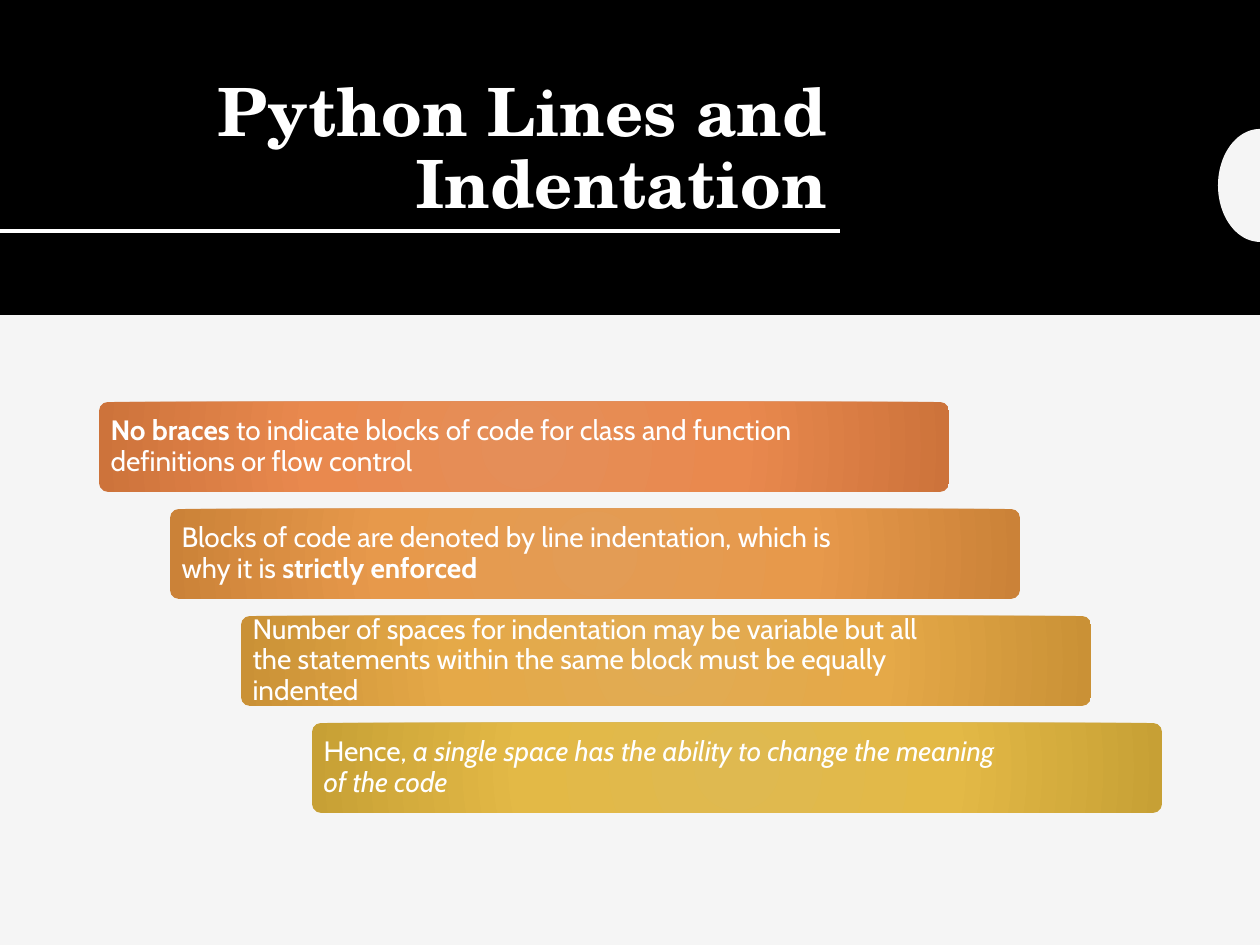
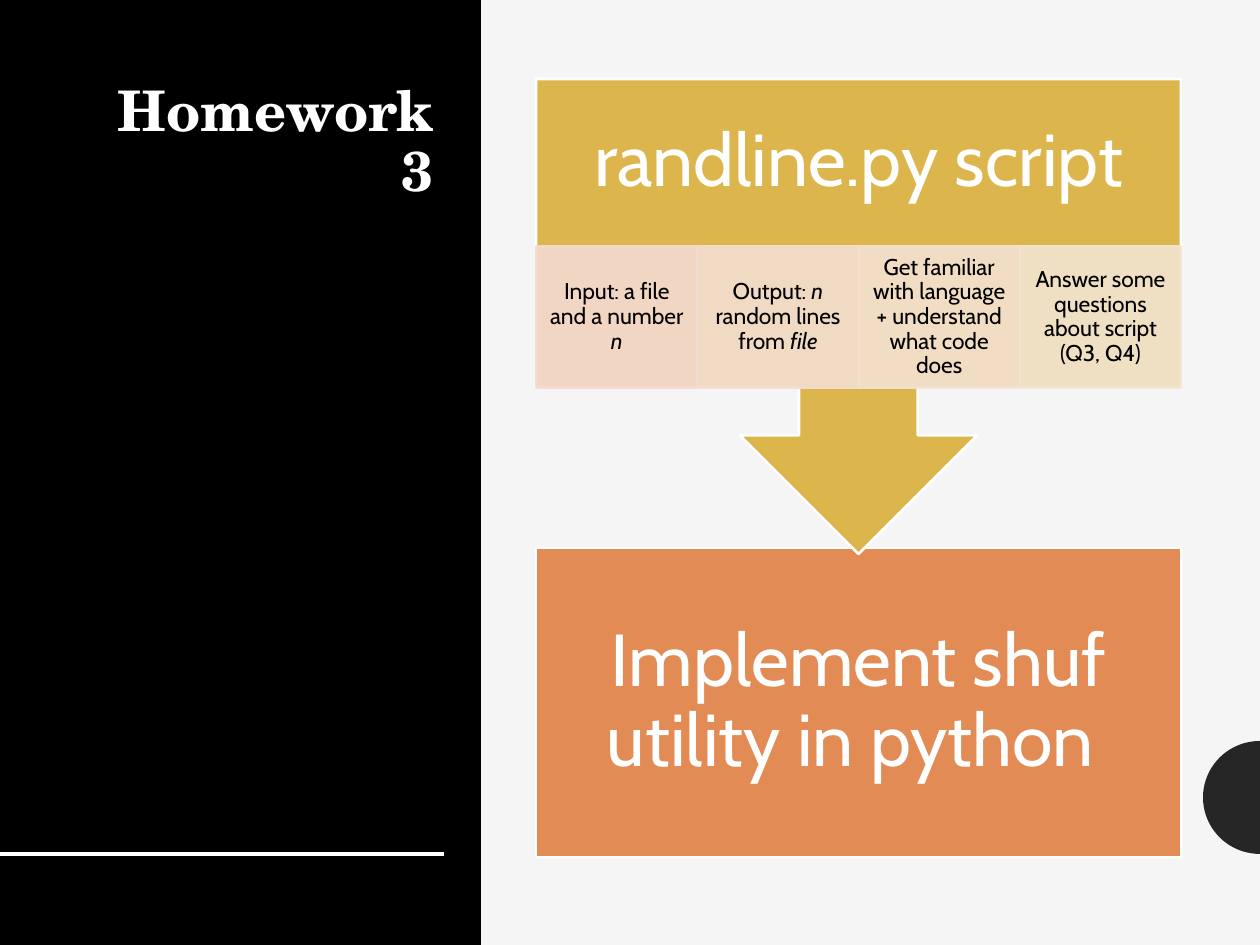
from math import cos, pi, sin

from lxml import etree
from pptx import Presentation
from pptx.dml.color import RGBColor
from pptx.enum.shapes import MSO_CONNECTOR, MSO_SHAPE
from pptx.enum.text import MSO_ANCHOR, MSO_AUTO_SIZE, PP_ALIGN
from pptx.oxml import parse_xml
from pptx.oxml.ns import nsdecls, qn
from pptx.util import Emu, Pt

RECT, ROUND = MSO_SHAPE.RECTANGLE, MSO_SHAPE.ROUNDED_RECTANGLE
CALLOUT = MSO_SHAPE.DOWN_ARROW_CALLOUT
STRAIGHT = MSO_CONNECTOR.STRAIGHT
TOP, MIDDLE, BOTTOM = MSO_ANCHOR.TOP, MSO_ANCHOR.MIDDLE, MSO_ANCHOR.BOTTOM
LEFT, CENTER, RIGHT = PP_ALIGN.LEFT, PP_ALIGN.CENTER, PP_ALIGN.RIGHT
NO_FIT = MSO_AUTO_SIZE.NONE

WIDTH, HEIGHT = 1260, 945
HEAD, BODY = "TeX Gyre Schola", "Cabin"
PAPER, BLACK, WHITE, DARK = "F5F5F5", "000000", "FFFFFF", "262626"
GOLD, ORANGE = "DCB64D", "E28B55"

# Gradient stops and text runs of each bar; a run is (text, style)
BARS = [
    (("E58E58", "E9894E", "CD733B"),
     [("No braces ", "b"),
      ("to indicate blocks of code for class and function "
       "definitions or flow control", "")]),
    (("E39C55", "E7994B", "CB8238"),
     [("Blocks of code are denoted by line indentation, "
       "which is why it is ", ""),
      ("strictly enforced", "b")]),
    (("E1AB53", "E5A948", "CA9136"),
     [("Number of spaces for indentation may be variable but all the "
       "statements within the same block must be equally indented", "")]),
    (("DFB950", "E3B946", "C7A035"),
     [("Hence, ", ""),
      ("a single space has the ability to change the meaning "
       "of the code", "i")]),
]

# Fill and text runs of each step
STEPS = [
    ("F4DAD1", [("Input: a file and a number ", ""), ("n", "i")]),
    ("F3DED1", [("Output: ", ""), ("n ", "i"),
                ("random lines from ", ""), ("file", "i")]),
    ("F3E2D0", [("Get familiar with language + understand "
                 "what code does", "")]),
    ("F2E5D0", [("Answer some questions about script (Q3, Q4)", "")]),
]


def px(n):
    return Emu(round(n * 914400 / 126))


def rgb(code):
    return RGBColor.from_string(code)


def write(shape, runs, size, color, align, anchor, pads, font=BODY):
    """Fill a shape with one paragraph; pads are left, top, right, bottom."""
    frame = shape.text_frame
    frame.word_wrap = True
    frame.auto_size = NO_FIT
    frame.vertical_anchor = anchor
    (frame.margin_left, frame.margin_top,
     frame.margin_right, frame.margin_bottom) = map(px, pads)
    para = frame.paragraphs[0]
    para.alignment = align
    para.line_spacing = 0.9
    para.font.name = font
    para.font.size = Pt(size)
    para.font.color.rgb = rgb(color)
    for text, style in runs:
        run = para.add_run()
        run.text = text
        if "b" in style:
            run.font.bold = True
        if "i" in style:
            run.font.italic = True


def block(slide, kind, box, fill, edge=None, weight=1.5):
    shape = slide.shapes.add_shape(kind, *map(px, box))
    shape.shadow.inherit = False
    shape.fill.solid()
    shape.fill.fore_color.rgb = rgb(fill)
    if edge:
        shape.line.color.rgb = rgb(edge)
        shape.line.width = Pt(weight)
    else:
        shape.line.fill.background()
    return shape


def glow(shape, colors):
    """Swap the solid fill for a circular gradient."""
    stops = "".join(
        f'<a:gs pos="{i * 50000}"><a:srgbClr val="{color}"/></a:gs>'
        for i, color in enumerate(colors))
    grad = parse_xml(
        f'<a:gradFill {nsdecls("a")}><a:gsLst>{stops}</a:gsLst>'
        '<a:path path="circle"><a:fillToRect l="100000" t="100000" '
        'r="100000" b="100000"/></a:path></a:gradFill>')
    props = shape._element.spPr
    props.replace(props.find(qn("a:solidFill")), grad)


def fade(shape, share):
    """Set the opacity of fill and line, in percent."""
    for color in shape._element.spPr.iter(qn("a:srgbClr")):
        etree.SubElement(color, qn("a:alpha")).set("val", str(share * 1000))


def rule(slide, end, y):
    line = slide.shapes.add_connector(STRAIGHT, *map(px, (0, y, end, y)))
    line.line.color.rgb = rgb(WHITE)
    line.line.width = Pt(2)
    etree.SubElement(line._element.spPr, qn("a:effectLst"))


def notch(slide, box, fill):
    """Half ellipse that bulges left from the right side of its box."""
    x, y, w, h = box
    turns = [pi * i / 40 for i in range(41)]
    dots = [(px(x + w - w * sin(t)), px(y + h / 2 - h / 2 * cos(t)))
            for t in turns]
    pen = slide.shapes.build_freeform(*dots[0])
    pen.add_line_segments(dots[1:], close=True)
    shape = pen.convert_to_shape()
    shape.shadow.inherit = False
    shape.fill.solid()
    shape.fill.fore_color.rgb = rgb(fill)
    shape.line.fill.background()


def frame(deck, panel, title, box, size, anchor, line, bump, tint):
    """Start a slide with its black panel, title, rule and notch."""
    slide = deck.slides.add_slide(deck.slide_layouts[5])
    slide.background.fill.solid()
    slide.background.fill.fore_color.rgb = rgb(PAPER)
    back = block(slide, RECT, panel, BLACK)
    head = slide.shapes.title
    back._element.addnext(head._element)
    head.left, head.top, head.width, head.height = map(px, box)
    write(head, [(title, "b")], size, WHITE, RIGHT, anchor,
          (13, 6, 13, 6), HEAD)
    rule(slide, *line)
    notch(slide, bump, tint)
    return slide


def stairs(slide, box):
    """Four bars, each one step lower and further right."""
    x, y, w, h = box
    wide, tall = 850, 90
    across = (w - wide) / (len(BARS) - 1)
    down = (h - tall) / (len(BARS) - 1)
    for i, (colors, runs) in enumerate(BARS):
        place = (x + i * across, y + i * down, wide, tall)
        bar = block(slide, ROUND, place, colors[0])
        bar.adjustments[0] = 0.1
        glow(bar, colors)
        write(bar, runs, 16, WHITE, LEFT, MIDDLE, (9, 9, 144, 9))


def flow(slide, box):
    """Callout with a row of steps, pointing down to the goal."""
    x, y, w, h = box
    pad, tall, low = 42, 142, 309
    goal = block(slide, RECT, (x, y + h - low, w, low), ORANGE, WHITE)
    write(goal, [("Implement shuf utility in python ", "")], 42, WHITE,
          CENTER, MIDDLE, (pad,) * 4)
    call = block(slide, CALLOUT, (x, y, w, 475), GOLD, WHITE)
    write(call, [("randline.py script", "")], 42, WHITE,
          CENTER, MIDDLE, (pad, pad, pad, pad + tall))
    wide = w / len(STEPS)
    for i, (color, runs) in enumerate(STEPS):
        place = (x + i * wide, y + 167, wide, tall)
        cell = block(slide, RECT, place, color, color, 1)
        fade(cell, 90)
        write(cell, runs, 13, BLACK, CENTER, MIDDLE, (12, 2, 12, 2))


def main():
    deck = Presentation()
    deck.slide_width, deck.slide_height = px(WIDTH), px(HEIGHT)

    # Indentation rules
    slide = frame(deck, (0, 0, WIDTH, 315), "Python Lines and Indentation",
                  (99, 59, 741, 170), 38, BOTTOM, (840, 231),
                  (1218, 129, 42, 113), PAPER)
    stairs(slide, (99, 402, 1063, 411))

    # Homework
    slide = frame(deck, (0, 0, 481, HEIGHT), "Homework 3",
                  (78, 77, 369, 683), 32, TOP, (444, 854),
                  (1203, 741, 57, 113), DARK)
    flow(slide, (536, 79, 645, 778))

    deck.save("out.pptx")


if __name__ == "__main__":
    main()
